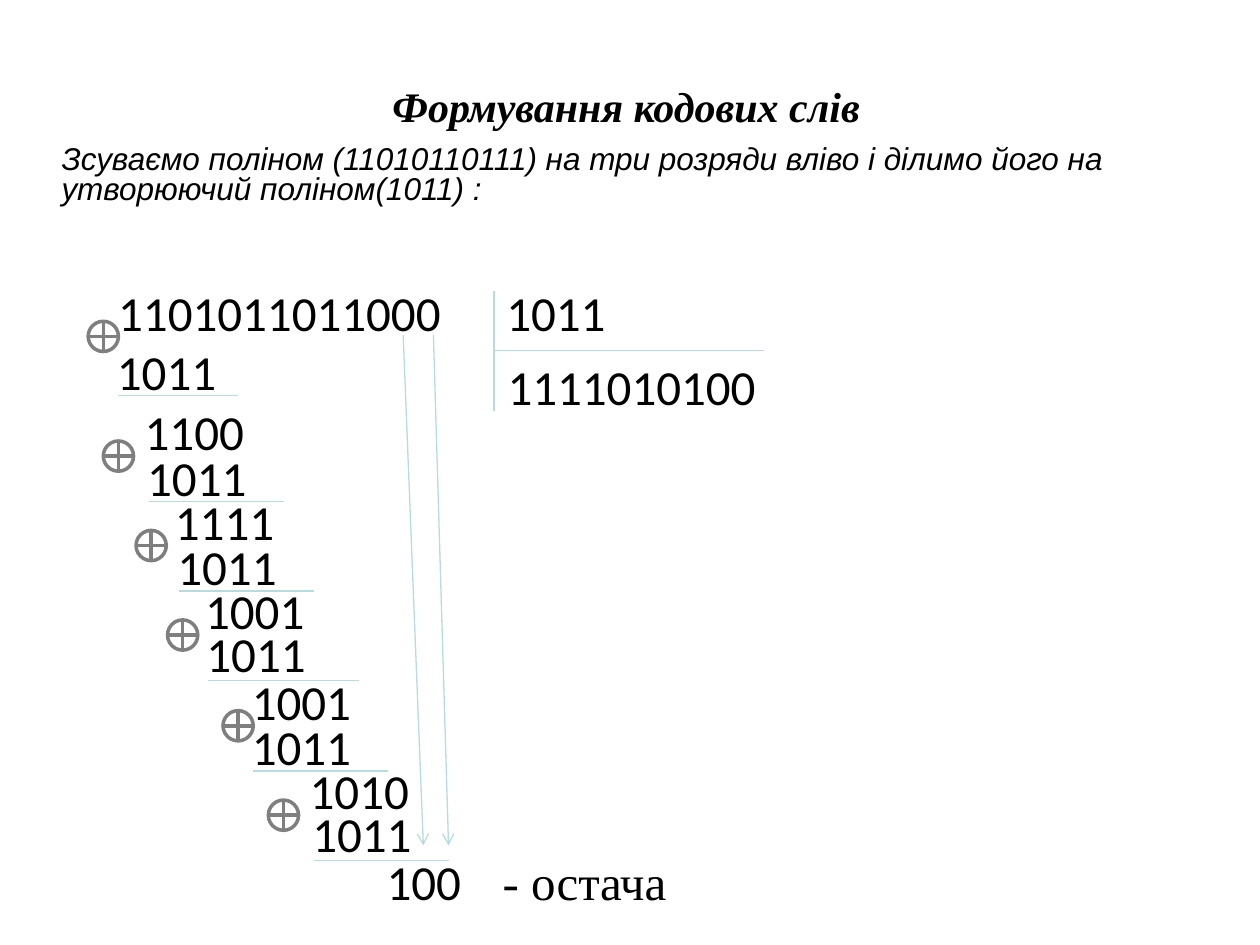
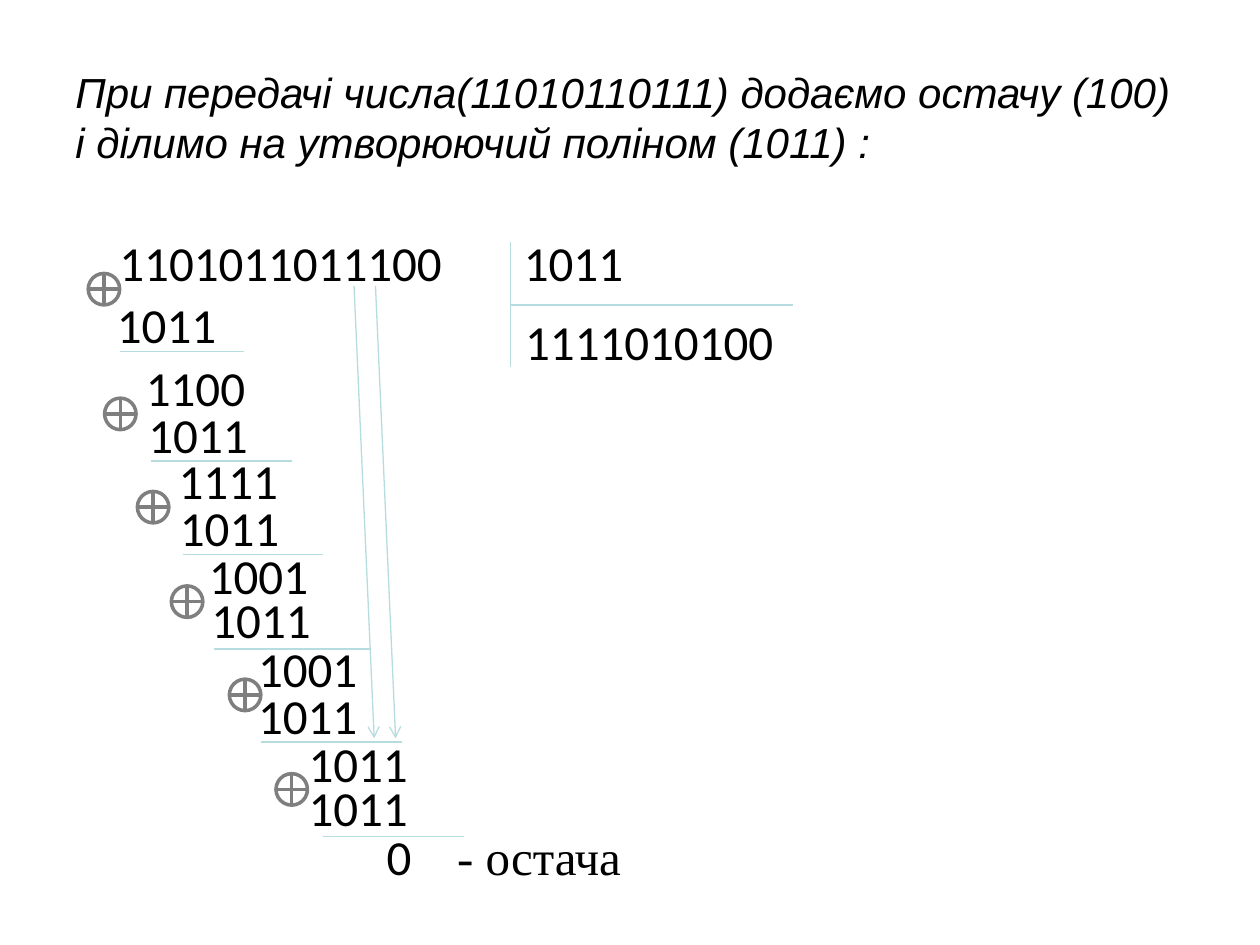
"""Build two slides that show binary polynomial division step by step."""
import math
from dataclasses import dataclass
from typing import Any, NamedTuple

from lxml import etree
from pptx import Presentation
from pptx.dml.color import RGBColor
from pptx.enum import shapes, text
from pptx.oxml import ns
from pptx import util as u

EMU_PER_PX = 9144
INK, PAPER, RULE, SIGN = "000000", "FFFFFF", "B6DCDF", "7F7F7F"
DIVISOR, QUOTIENT, REMAINDER_LABEL = "1011", "1111010100", "- остача"
DIGIT_FONT = {"name": "Calibri", "size": u.Pt(28)}
LABEL_FONT = {"name": "Times New Roman", "size": u.Pt(28)}
HEADING_FONT = {"name": "Times New Roman", "size": u.Pt(24), "bold": True, "italic": True}
TASK_FONT = {"name": "Arial", "size": u.Pt(18), "italic": True}
LEAD_FONT = {"name": "Arial", "size": u.Pt(24), "italic": True}
LINE_HEIGHT, LABEL_WIDTH, DIGIT_WIDTH = 57, 150, 19.75


class Point(NamedTuple):
    x: int
    y: int


class Box(NamedTuple):
    left: int
    top: int
    width: int
    height: int


class Arrow(NamedTuple):
    start: Point
    end: Point


class Step(NamedTuple):
    minuend: str
    minuend_x: int
    subtrahend_x: int
    sign_x: int
    rule_x: int
    rule_end: int
    rule_y: int
    lead: int = 0
    lift: int = 0


@dataclass(frozen=True)
class Heading:
    wording: str
    box: Box
    font: dict[str, Any]
    paragraph: dict[str, Any]
    anchor: text.MSO_ANCHOR = text.MSO_ANCHOR.BOTTOM
    bottom: int = 5


@dataclass(frozen=True)
class Division:
    headings: list[Heading]
    steps: list[Step]
    drop: int
    gap: int
    sign_size: int
    corner: Point
    corner_top: int
    corner_bottom: int
    corner_right: int
    divisor: Point
    quotient: Point
    remainder: str
    remainder_at: Point
    label_x: int
    arrows: list[Arrow]


ENCODING = Division(
    headings=[
        Heading("Формування кодових слів", Box(47, 23, 900, 85), HEADING_FONT,
                {"alignment": text.PP_ALIGN.CENTER}, bottom=4),
        Heading("Зсуваємо поліном (11010110111) на три розряди вліво і ділимо його на "
                "утворюючий поліном(1011) :", Box(39, 86, 900, 85), TASK_FONT,
                {"line_spacing": 0.8}, bottom=7),
    ],
    steps=[
        Step("1101011011000", 84, 83, 70, 94, 189, 314, lead=11),
        Step("1100", 105, 107, 82, 118, 225, 398),
        Step("1111", 129, 131, 108, 142, 249, 469),
        Step("1001", 153, 154, 133, 165, 285, 540, lift=2),
        Step("1001", 190, 190, 177, 201, 308, 612),
        Step("1010", 236, 238, 213, 249, 356, 683, lift=2),
    ],
    drop=48, gap=36, sign_size=24,
    corner=Point(392, 278), corner_top=231, corner_bottom=326, corner_right=606,
    divisor=Point(392, 219), quotient=Point(393, 278),
    remainder="100", remainder_at=Point(297, 671), label_x=389,
    arrows=[Arrow(Point(320, 266), Point(336, 671)), Arrow(Point(344, 266), Point(356, 671))],
)

CHECKING = Division(
    headings=[
        Heading("При передачі числа(11010110111) додаємо остачу (100) і ділимо на "
                "утворюючий поліном (1011) :", Box(50, 30, 900, 125), LEAD_FONT,
                {}, text.MSO_ANCHOR.MIDDLE),
    ],
    steps=[
        Step("1101011011100", 85, 83, 70, 95, 194, 279, lead=12),
        Step("1100", 106, 108, 83, 120, 232, 366),
        Step("1111", 132, 133, 109, 145, 256, 440),
        Step("1001", 156, 158, 136, 170, 294, 515, lift=2),
        Step("1001", 195, 195, 182, 207, 319, 589),
        Step("1011", 235, 235, 219, 256, 368, 664, lift=2),
    ],
    drop=50, gap=37, sign_size=25,
    corner=Point(405, 242), corner_top=192, corner_bottom=291, corner_right=629,
    divisor=Point(406, 180), quotient=Point(407, 242),
    remainder="0", remainder_at=Point(297, 651), label_x=353,
    arrows=[Arrow(Point(281, 227), Point(297, 586)), Arrow(Point(298, 227), Point(314, 586))],
)


def px(length: int) -> int:
    return length * EMU_PER_PX


def rgb(colour: str) -> RGBColor:
    return RGBColor.from_string(colour)


def apply(target: Any, values: dict[str, Any]) -> None:
    for key, value in values.items():
        setattr(target, key, value)


def write(slide: Any, wording: str, box: Box, font: dict[str, Any],
          frame: dict[str, Any], paragraph: dict[str, Any]) -> None:
    text_frame = slide.shapes.add_textbox(*map(px, box)).text_frame
    apply(text_frame, {"margin_left": px(10), "margin_right": px(10),
                       "margin_top": px(5), "margin_bottom": px(5)} | frame)
    line = text_frame.paragraphs[0]
    apply(line, paragraph)
    run = line.add_run()
    run.text = wording
    apply(run.font, font)
    run.font.color.rgb = rgb(INK)


def write_heading(slide: Any, heading: Heading) -> None:
    frame = {"word_wrap": True, "vertical_anchor": heading.anchor,
             "margin_bottom": px(heading.bottom)}
    write(slide, heading.wording, heading.box, heading.font, frame, heading.paragraph)


def write_line(slide: Any, wording: str, at: Point, width: int, font: dict[str, Any]) -> None:
    frame = {"word_wrap": False, "auto_size": text.MSO_AUTO_SIZE.SHAPE_TO_FIT_TEXT}
    write(slide, wording, Box(at.x, at.y, width, LINE_HEIGHT), font, frame, {})


def write_digits(slide: Any, digits: str, at: Point) -> None:
    write_line(slide, digits, at, 20 + math.ceil(len(digits) * DIGIT_WIDTH), DIGIT_FONT)


def draw_line(slide: Any, start: Point, end: Point, arrow: bool = False) -> None:
    connector = slide.shapes.add_connector(
        shapes.MSO_CONNECTOR.STRAIGHT, *map(px, (*start, *end)))
    connector.line.color.rgb = rgb(RULE)
    connector.line.width = u.Pt(0.75)
    properties = connector._element.spPr
    if arrow:
        etree.SubElement(properties.find(ns.qn("a:ln")), ns.qn("a:tailEnd"), type="arrow")
    etree.SubElement(properties, ns.qn("a:effectLst"))


def draw_sign(slide: Any, at: Point, size: int) -> None:
    sign = slide.shapes.add_shape(
        shapes.MSO_SHAPE.FLOWCHART_OR, *map(px, (*at, size, size)))
    sign.shadow.inherit = False
    sign.fill.solid()
    sign.fill.fore_color.rgb = rgb(PAPER)
    sign.line.color.rgb = rgb(SIGN)
    sign.line.width = u.Pt(2)


def draw_step(slide: Any, step: Step, division: Division) -> None:
    row = step.rule_y - division.drop
    draw_sign(slide, Point(step.sign_x, row - step.lead), division.sign_size)
    write_digits(slide, step.minuend, Point(step.minuend_x, row - division.gap - step.lead))
    write_digits(slide, DIVISOR, Point(step.subtrahend_x, row - step.lift))
    draw_line(slide, Point(step.rule_x, step.rule_y), Point(step.rule_end, step.rule_y))


def draw_division(slide: Any, division: Division) -> None:
    for heading in division.headings:
        write_heading(slide, heading)
    corner = division.corner
    draw_line(slide, Point(corner.x, division.corner_top), Point(corner.x, division.corner_bottom))
    draw_line(slide, corner, Point(division.corner_right, corner.y))
    write_digits(slide, DIVISOR, division.divisor)
    write_digits(slide, QUOTIENT, division.quotient)
    for step in division.steps:
        draw_step(slide, step, division)
    write_digits(slide, division.remainder, division.remainder_at)
    label_at = Point(division.label_x, division.remainder_at.y)
    write_line(slide, REMAINDER_LABEL, label_at, LABEL_WIDTH, LABEL_FONT)
    for arrow in division.arrows:
        draw_line(slide, arrow.start, arrow.end, arrow=True)


def main() -> None:
    deck = Presentation()
    apply(deck, {"slide_width": px(1000), "slide_height": px(750)})
    for division in (ENCODING, CHECKING):
        draw_division(deck.slides.add_slide(deck.slide_layouts[6]), division)
    deck.save("out.pptx")


if __name__ == "__main__":
    main()
